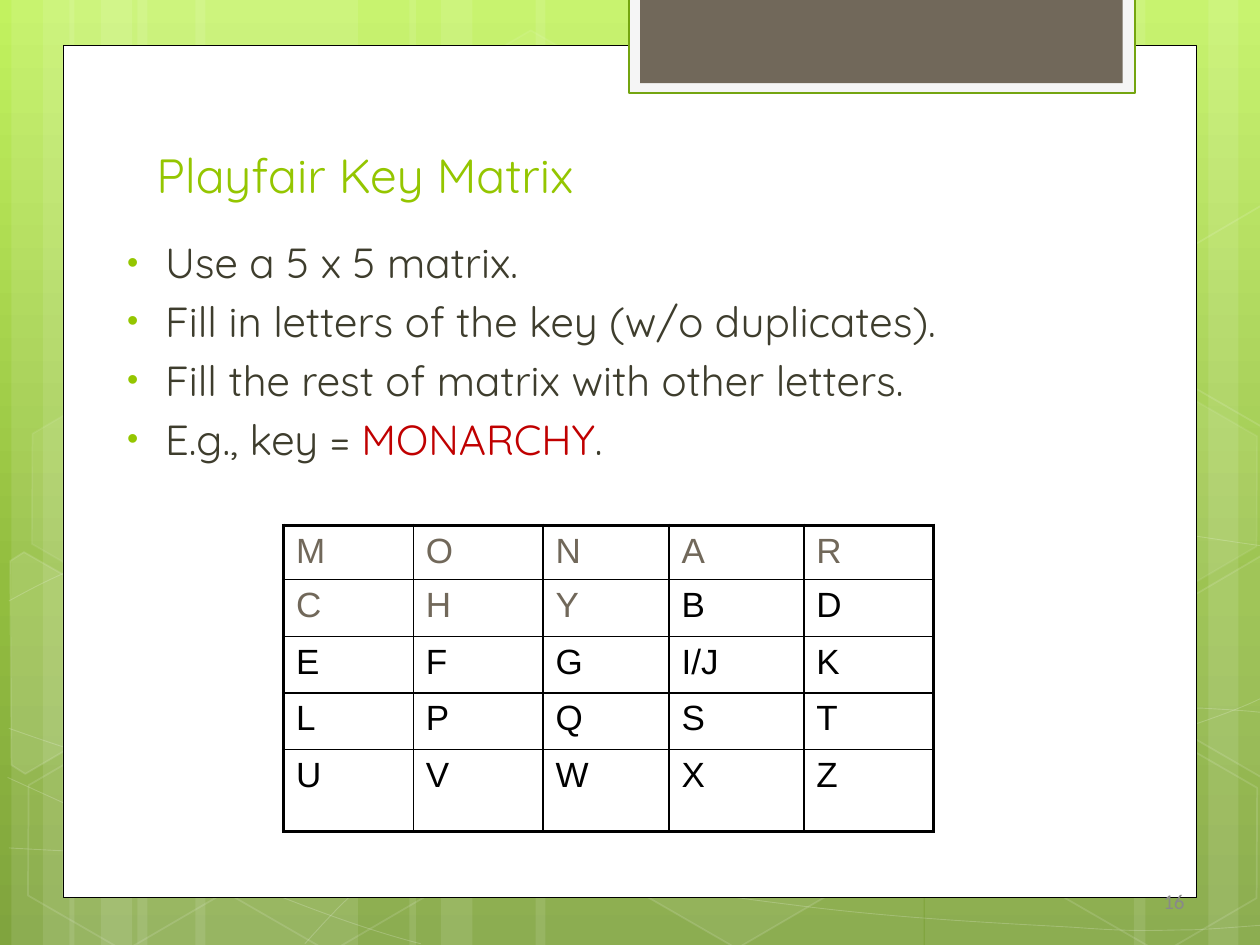
import math

from dataclasses import dataclass

from lxml import etree
from pptx import Presentation
from pptx.dml.color import RGBColor
from pptx.enum import shapes, text
from pptx.oxml import ns
from pptx.util import Inches, Pt


@dataclass(frozen=True)
class Theme:
    white: str = "FFFFFF"
    black: str = "000000"
    green: str = "94C600"
    tab_line: str = "74A510"
    tab: str = "F5F5F5"
    taupe: str = "71685A"
    body: str = "3E3D2D"
    red: str = "C00000"
    grey: str = "898989"
    sky: tuple = ((0, "C2F25F"), (62, "92BD3F"), (100, "80A43E"))
    font: str = "Quicksand"
    table_font: str = "Arial"
    number_font: str = "Calibri"
    title_size: float = 27.4
    body_size: float = 24
    table_size: float = 20
    number_size: float = 12


THEME = Theme()
KEY = "MONARCHY"
MATRIX = ["M O N A R", "C H Y B D", "E F G I/J K", "L P Q S T", "U V W X Z"]
COLUMN_WIDTHS = [1.03, 1.03, 1, 1.07, 1.03]
ROW_HEIGHTS = [0.43, 0.45, 0.45, 0.45, 0.65]
BULLETS = [
    [("Use a 5 x 5 matrix.", THEME.body)],
    [("Fill in letters of the key (w/o duplicates).", THEME.body)],
    [("Fill the rest of matrix with other letters.", THEME.body)],
    [("E.g., key = ", THEME.body), (KEY, THEME.red), (".", THEME.body)],
]

# Left and width of the full-height light bands
BANDS = [(1.09, 1.75), (0.09, 0.5), (0.34, 0.83), (1.55, 1.75), (0.55, 0.5), (0.8, 0.83),
         (7.34, 1.75), (9.59, 0.5), (9, 0.83), (4.25, 3.08), (3.25, 0.5), (3.5, 0.83)]

# Bezier curves: a start point, then three points for each segment
CURVES = [
    [(0.07, 6.73), (0.61, 6.76), (1.15, 6.79), (1.9, 6.78), (2.65, 6.77), (3.58, 6.75),
     (4.58, 6.65), (5.58, 6.55), (7, 6.36), (7.92, 6.17), (8.83, 5.98), (9.77, 5.68),
     (10.07, 5.51)],
    [(0.07, 4.77), (0.36, 4.61), (0.65, 4.46), (1.21, 4.31), (1.78, 4.16), (2.59, 3.94),
     (3.47, 3.87), (4.36, 3.8), (5.44, 3.79), (6.54, 3.87), (7.64, 3.95), (9.47, 4.26),
     (10.07, 4.34)],
    [(0.06, 6.17), (1.27, 6.72), (2.47, 7.27), (3.34, 7.49)],
    [(0.07, 5.78), (0.38, 5.89), (0.7, 6), (1.28, 6.16), (1.86, 6.31), (2.73, 6.56),
     (3.57, 6.73), (4.4, 6.9), (5.45, 7.08), (6.28, 7.18), (7.11, 7.29), (8, 7.33),
     (8.53, 7.36), (9.05, 7.4), (9.19, 7.38), (9.45, 7.38), (9.71, 7.37), (9.89, 7.35),
     (10.07, 7.34)],
    [(2.42, 7.49), (2.6, 7.29), (2.78, 7.09), (3.02, 6.91), (3.26, 6.73), (3.6, 6.53),
     (3.88, 6.39), (4.16, 6.25), (4.33, 6.19), (4.7, 6.09), (5.06, 5.99), (5.73, 5.85),
     (6.08, 5.78), (6.44, 5.71), (6.49, 5.71), (6.8, 5.69), (7.11, 5.66), (7.6, 5.63),
     (7.94, 5.62), (8.29, 5.61), (8.86, 5.62), (8.86, 5.62), (9.08, 5.62), (9.31, 5.62),
     (9.53, 5.62), (9.71, 5.63), (9.88, 5.64), (9.97, 5.65), (10.06, 5.66), (10.03, 5.65),
     (10.06, 5.66)],
]

# Left, top, fill opacity, line opacity
HEXAGONS = [(3.34, 0.36, 4, 8), (4.97, 5.89, 6, 12), (0.11, 5.91, 0, 12), (0.14, 3.12, 7, 8),
            (1.74, 5.92, 0, 12), (7.53, 4.53, 10, 12), (8.34, 5.93, 0, 12), (8.34, 3.14, 7, 8)]

# Hexagons cut by the slide edge: centre, outline as seen, fill opacity
CUT_HEXAGONS = [
    ((0.36, 5.35), [(0.08, 4.45), (0.19, 4.38), (0.96, 4.82), (0.95, 5.7), (0.2, 6.14),
                    (0.09, 6.07)], 10),
    ((9.85, 5.2), [(9.26, 4.85), (10.01, 4.41), (10.09, 4.46), (10.09, 6.13), (10.02, 6.17),
                   (9.26, 5.73)], 4),
    ((9.85, 2.41), [(9.26, 2.07), (10.01, 1.63), (10.1, 1.68), (10.09, 3.35), (10.02, 3.39),
                    (9.26, 2.95)], 0),
]
TILT = 30


def set_all(target, values):
    for name, value in values.items():
        setattr(target, name, value)


def add_xml(parent, tag, **attributes):
    return etree.SubElement(parent, ns.qn(tag), attributes)


def paint(fill, color, opacity=100):
    """Solid fill; opacity 0 means no fill."""
    if not opacity:
        fill.background()
        return
    fill.solid()
    fill.fore_color.rgb = RGBColor.from_string(color)
    if opacity < 100:
        for node in fill._xPr.iter(ns.qn("a:srgbClr")):
            add_xml(node, "a:alpha", val=str(opacity * 1000))


def style(shape, fill=THEME.white, opacity=100, line=THEME.white, line_opacity=100, width=0):
    shape.shadow.inherit = False
    paint(shape.fill, fill, opacity)
    if width:
        shape.line.width = Pt(width)
    paint(shape.line.fill, line, line_opacity if width else 0)


def add_preset(slide, kind, box, **look):
    shape = slide.shapes.add_shape(kind, *map(Inches, box))
    style(shape, **look)
    return shape


def add_outline(slide, points, close, **look):
    nodes = [(Inches(x), Inches(y)) for x, y in points]
    builder = slide.shapes.build_freeform(*nodes[0])
    builder.add_line_segments(nodes[1:], close=close)
    shape = builder.convert_to_shape()
    style(shape, **look)
    return shape


def add_curve(slide, nodes):
    shape = add_outline(slide, nodes, False, opacity=0, line_opacity=20, width=0.5)
    route = next(shape.element.iter(ns.qn("a:path")))
    lines = route.findall(ns.qn("a:lnTo"))
    for start in range(0, len(lines), 3):
        curve = add_xml(route, "a:cubicBezTo")
        for line in lines[start:start + 3]:
            curve.append(line[0])
            route.remove(line)


def turn_back(point, center):
    """Undo the tilt of a point around a centre."""
    angle = math.radians(TILT)
    x, y = point[0] - center[0], point[1] - center[1]
    return (center[0] + x * math.cos(angle) + y * math.sin(angle),
            center[1] - x * math.sin(angle) + y * math.cos(angle))


def place(shape, box, anchor):
    set_all(shape, dict(zip(("left", "top", "width", "height"), map(Inches, box))))
    set_all(shape.text_frame, {"word_wrap": True, "vertical_anchor": anchor,
                               "auto_size": text.MSO_AUTO_SIZE.NONE})
    shape.element.getparent().append(shape.element)  # bring to front


def add_run(paragraph, words, font, size, color):
    run = paragraph.add_run()
    run.text = words
    set_all(run.font, {"name": font, "size": Pt(size)})
    run.font.color.rgb = RGBColor.from_string(color)


def add_background(slide):
    fill = slide.background.fill
    fill.gradient()
    fill.gradient_angle = 270
    stops = next(fill._xPr.iter(ns.qn("a:gsLst")))
    stops[:] = []
    for position, color in THEME.sky:
        add_xml(add_xml(stops, "a:gs", pos=str(position * 1000)), "a:srgbClr", val=color)

    for left, width in BANDS:
        add_preset(slide, shapes.MSO_SHAPE.RECTANGLE, (left, 0, width, 7.5), opacity=10)
    for nodes in CURVES:
        add_curve(slide, nodes)
    for left, top, opacity, line_opacity in HEXAGONS:
        hexagon = add_preset(slide, shapes.MSO_SHAPE.HEXAGON, (left, top, 1.75, 1.52),
                             opacity=opacity, line_opacity=line_opacity, width=1)
        hexagon.rotation = TILT
        hexagon.adjustments[0] = 0.285
    for center, points, opacity in CUT_HEXAGONS:
        level = [turn_back(point, center) for point in points]
        add_outline(slide, level, True, opacity=opacity, line_opacity=12, width=1).rotation = TILT


def add_card(slide):
    rectangle = shapes.MSO_SHAPE.RECTANGLE
    add_preset(slide, rectangle, (0.5, 0.36, 9, 6.76), line=THEME.black, width=0.5)
    add_preset(slide, rectangle, (4.99, -0.02, 4.02, 0.76), fill=THEME.tab,
               line=THEME.tab_line, width=1.25)
    add_preset(slide, rectangle, (5.08, -0.02, 3.83, 0.68), fill=THEME.taupe)


def fill_title(title):
    place(title, (1.14, 1.12, 7.68, 0.54), text.MSO_ANCHOR.BOTTOM)
    paragraph = title.text_frame.paragraphs[0]
    paragraph.alignment = text.PP_ALIGN.LEFT
    add_run(paragraph, "Playfair Key Matrix", THEME.font, THEME.title_size, THEME.green)


def fill_body(body):
    place(body, (0.83, 1.83, 8.67, 2.92), text.MSO_ANCHOR.TOP)
    frame = body.text_frame
    for index, runs in enumerate(BULLETS):
        paragraph = frame.add_paragraph() if index else frame.paragraphs[0]
        paragraph.space_before = Pt(4.8)
        properties = paragraph._p.get_or_add_pPr()
        properties.set("marL", str(Inches(0.38)))
        properties.set("indent", str(Inches(-0.3)))
        add_xml(add_xml(properties, "a:buClr"), "a:srgbClr", val=THEME.green)
        add_xml(properties, "a:buSzPct", val="76000")
        add_xml(properties, "a:buFont", typeface=THEME.table_font)
        add_xml(properties, "a:buChar", char="•")
        for words, color in runs:
            add_run(paragraph, words, THEME.font, THEME.body_size, color)


def set_borders(cell, outer_sides):
    properties = cell._tc.get_or_add_tcPr()
    for index, side in enumerate("LRTB"):
        width = Pt(2.21 if side in outer_sides else 0.96)
        border = add_xml(properties, f"a:ln{side}", w=str(width))
        add_xml(add_xml(border, "a:solidFill"), "a:srgbClr", val=THEME.black)
        properties.insert(index, border)


def add_matrix(slide):
    size = len(MATRIX)
    box = (2.25, 4.17, sum(COLUMN_WIDTHS), sum(ROW_HEIGHTS))
    table = slide.shapes.add_table(size, size, *map(Inches, box)).table
    set_all(table, {"first_row": False, "horz_banding": False})
    for column, width in zip(table.columns, COLUMN_WIDTHS):
        column.width = Inches(width)
    for r, (row, height, letters) in enumerate(zip(table.rows, ROW_HEIGHTS, MATRIX)):
        row.height = Inches(height)
        for c, (cell, letter) in enumerate(zip(row.cells, letters.split())):
            cell.fill.background()
            edges = {"L": c == 0, "R": c == size - 1, "T": r == 0, "B": r == size - 1}
            set_borders(cell, [side for side, outer in edges.items() if outer])
            paragraph = cell.text_frame.paragraphs[0]
            paragraph.space_before = Pt(4)
            add_run(paragraph, letter, THEME.table_font, THEME.table_size,
                    THEME.taupe if letter in KEY else THEME.black)


def add_slide_number(slide):
    box = (7.17, 6.95, 2.33, 0.4)
    number = slide.shapes.add_textbox(*map(Inches, box))
    place(number, box, text.MSO_ANCHOR.MIDDLE)
    paragraph = number.text_frame.paragraphs[0]
    paragraph.alignment = text.PP_ALIGN.RIGHT
    add_run(paragraph, "16", THEME.number_font, THEME.number_size, THEME.grey)


def main():
    presentation = Presentation()
    set_all(presentation, {"slide_width": Inches(10), "slide_height": Inches(7.5)})
    slide = presentation.slides.add_slide(presentation.slide_layouts[1])
    add_background(slide)
    add_card(slide)
    fill_title(slide.shapes.title)
    fill_body(slide.placeholders[1])
    add_matrix(slide)
    add_slide_number(slide)
    presentation.save("out.pptx")


if __name__ == "__main__":
    main()
